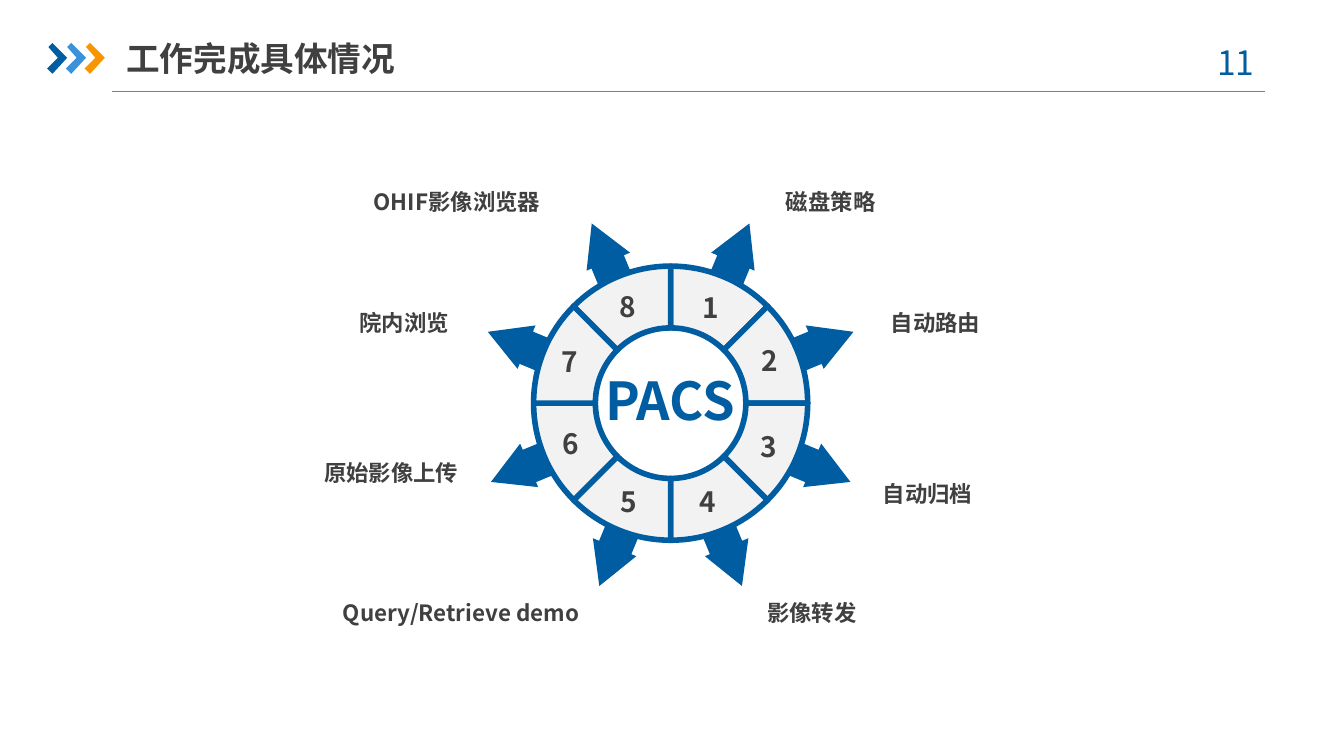
from math import cos, pi, sin

from lxml import etree
from pptx import Presentation
from pptx.dml.color import RGBColor
from pptx.enum.shapes import MSO_CONNECTOR
from pptx.enum.text import MSO_ANCHOR as Anchor, PP_ALIGN as Align
from pptx.oxml.ns import qn
from pptx.util import Inches, Pt

BLUE = RGBColor(0x00, 0x5D, 0xA2)
LIGHT_BLUE = RGBColor(0x39, 0x92, 0xDB)
ORANGE = RGBColor(0xF7, 0x96, 0x00)
RULE_GRAY = RGBColor(0x80, 0x80, 0x80)
PALE_GRAY = RGBColor(0xF2, 0xF2, 0xF2)
TEXT_GRAY = RGBColor(0x40, 0x40, 0x40)
FONT = "Noto Sans CJK SC"

CHEVRON = [(0.01, 0.03), (0.04, 0), (0.15, 0.11), (0.04, 0.23), (0, 0.19), (0.08, 0.11)]
# Distance from the hub and sideways offset of each arrow corner
ARROW = [(0.57, -0.1), (1.15, -0.1), (1.15, -0.15), (1.46, 0.03),
         (1.15, 0.2), (1.15, 0.16), (0.57, 0.16)]
OUTER_RADIUS, INNER_RADIUS = 1.02, 0.56
SECTORS = 8
ARC_STEPS = 16

# Label, its box, and the left and top of its number
TOPICS = [
    ("磁盘策略", (5.75, 1.24, 2.6, 0.69), (5.09, 2.18)),
    ("自动路由", (6.53, 2.14, 2.67, 0.69), (5.53, 2.57)),
    ("自动归档", (6.47, 3.41, 2.2, 0.69), (5.52, 3.21)),
    ("影像转发", (5.61, 4.3, 2.38, 0.69), (5.07, 3.62)),
    ("Query/Retrieve demo", (2.2, 4.3, 2.21, 0.69), (4.48, 3.62)),
    ("原始影像上传", (1.35, 3.26, 2.16, 0.69), (4.05, 3.19)),
    ("院内浏览", (1.28, 2.14, 2.16, 0.69), (4.04, 2.58)),
    ("OHIF影像浏览器", (1.96, 1.24, 2.16, 0.69), (4.47, 2.17)),
]


def add_text(page, text, box, size, color=TEXT_GRAY, bold=True, align=Align.LEFT,
             anchor=Anchor.MIDDLE, insets=(0.1, 0.05, 0.1, 0.05)):
    frame = page.shapes.add_textbox(*map(Inches, box)).text_frame
    frame.word_wrap = True
    frame.vertical_anchor = anchor
    (frame.margin_left, frame.margin_top,
     frame.margin_right, frame.margin_bottom) = map(Inches, insets)
    para = frame.paragraphs[0]
    para.alignment = align
    span = para.add_run()
    span.text = text
    span.font.size = Pt(size)
    span.font.bold = bold
    span.font.name = FONT
    span.font.color.rgb = color
    east_asian = etree.SubElement(span.font._element, qn("a:ea"))
    east_asian.set("typeface", FONT)


def add_outline(page, points, fill, line=None):
    corners = [(Inches(x), Inches(y)) for x, y in points]
    builder = page.shapes.build_freeform(*corners[0])
    builder.add_line_segments(corners[1:], close=True)
    shape = builder.convert_to_shape()
    shape.shadow.inherit = False
    shape.fill.solid()
    shape.fill.fore_color.rgb = fill
    if line is None:
        shape.line.fill.background()
    else:
        shape.line.color.rgb = line
        shape.line.width = Pt(3)


def polar(center, radius, angle, side=0):
    """Point at a clockwise angle from the top, moved sideways by side."""
    return (center[0] + radius * sin(angle) + side * cos(angle),
            center[1] - radius * cos(angle) + side * sin(angle))


def add_header(page, left, top, width):
    for index, color in enumerate((BLUE, LIGHT_BLUE, ORANGE)):
        add_outline(page, [(left + 0.14 * index + x, top + 0.1 + y) for x, y in CHEVRON], color)
    rule = page.shapes.add_connector(
        MSO_CONNECTOR.STRAIGHT, Inches(left + 0.48), Inches(top + 0.46),
        Inches(left + width), Inches(top + 0.46))
    rule.line.color.rgb = RULE_GRAY
    rule.line.width = Pt(0.75)
    etree.SubElement(rule._element.spPr, qn("a:effectLst"))
    add_text(page, "工作完成具体情况", (left + 0.59, top, 2.33, 0.42), 18,
             insets=(0, 0.05, 0, 0.05))
    add_text(page, "11", (left + width - 0.58, top + 0.04, 0.73, 0.4), 18, color=BLUE,
             bold=False, align=Align.CENTER, anchor=Anchor.TOP)


def add_wheel(page, center):
    sector = 2 * pi / SECTORS
    for index in range(SECTORS):
        mirror = 1 if index < SECTORS // 2 else -1
        middle = (index + 0.5) * sector
        add_outline(page, [polar(center, reach, middle, mirror * side)
                           for reach, side in ARROW], BLUE)
    for index in range(SECTORS):
        angles = [(index + step / ARC_STEPS) * sector for step in range(ARC_STEPS + 1)]
        outer = [polar(center, OUTER_RADIUS, angle) for angle in angles]
        inner = [polar(center, INNER_RADIUS, angle) for angle in reversed(angles)]
        add_outline(page, outer + inner, PALE_GRAY, line=BLUE)
    add_text(page, "PACS", (center[0] - 0.54, center[1] - 0.26, 1.07, 0.47), 28,
             color=BLUE, align=Align.CENTER, anchor=Anchor.TOP, insets=(0, 0, 0, 0))


def add_topics(page):
    for number, (label, box, (left, top)) in enumerate(TOPICS, start=1):
        align = Align.LEFT if number <= SECTORS // 2 else Align.RIGHT
        add_text(page, label, box, 12, align=align, insets=(0.1, 0.05, 0.1, 0.22))
        add_text(page, str(number), (left, top, 0.4, 0.22), 15, align=Align.CENTER)


def main():
    deck = Presentation()
    deck.slide_width = Inches(10)
    deck.slide_height = deck.slide_width * 9 // 16
    page = deck.slides.add_slide(deck.slide_layouts[6])
    add_header(page, left=0.35, top=0.22, width=9.06)
    add_wheel(page, center=(4.99, 3))
    add_topics(page)
    deck.save("out.pptx")


if __name__ == "__main__":
    main()
